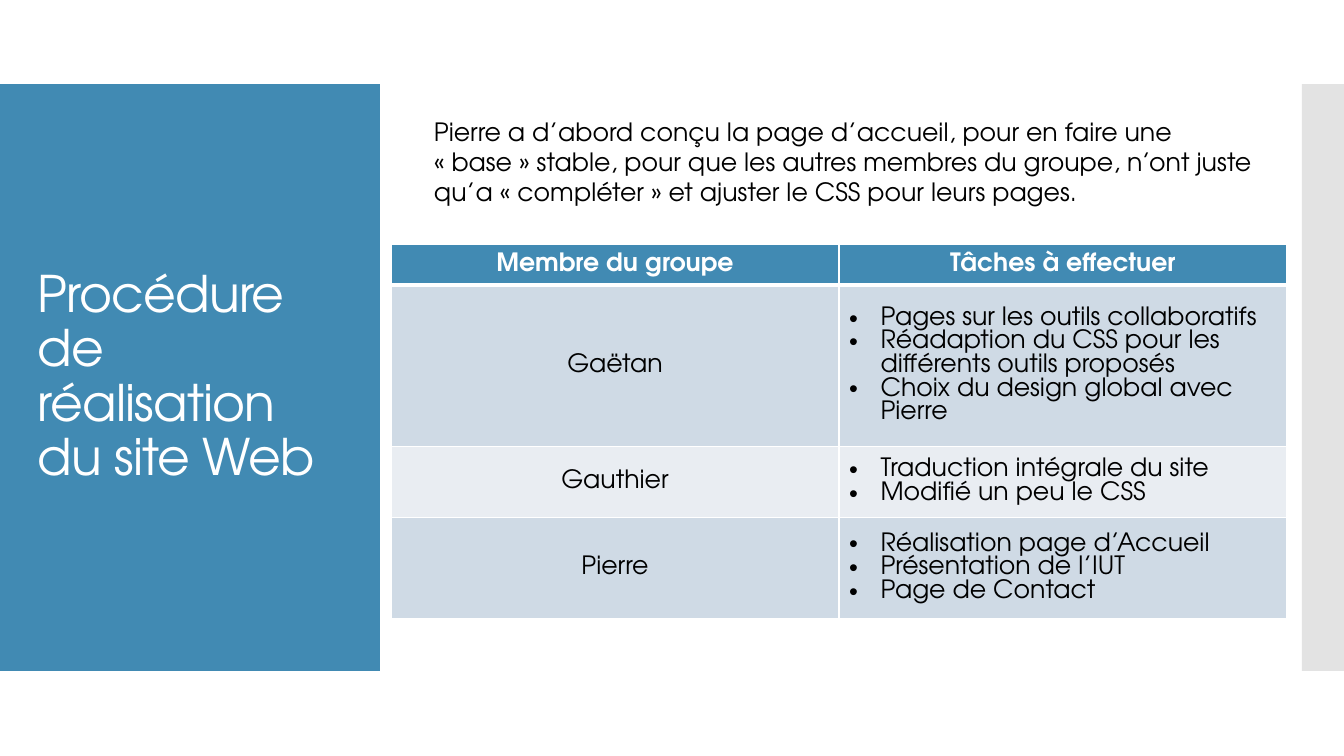
import pptx
import pptx.util
import pptx.dml.color
import pptx.enum.shapes
import pptx.enum.text
import pptx.oxml.ns
import lxml.etree

PX = 914400 / 100.8
FONT = "TeX Gyre Adventor"
COLORS = {"blue": "418AB3", "grey": "C8C8C8", "white": "FFFFFF", "black": "000000",
          "band_dark": "CFDAE5", "band_light": "E9EDF2"}
NO_BREAK_SPACE = chr(160)
qn = pptx.oxml.ns.qn


def px(*lengths):
    return [pptx.util.Emu(round(length * PX)) for length in lengths]


def style(paragraph, size, color, bold=False):
    for run in paragraph.runs:
        run.font.name = FONT
        run.font.size = pptx.util.Pt(size)
        run.font.bold = bold
        run.font.color.rgb = pptx.dml.color.RGBColor.from_string(COLORS[color])


prs = pptx.Presentation()
prs.slide_width, prs.slide_height = px(1344, 756)
slide = prs.slides.add_slide(prs.slide_layouts[6])

# Side panels
for left, width, color in [(0, 380, "blue"), (1302, 42, "grey")]:
    panel = slide.shapes.add_shape(pptx.enum.shapes.MSO_SHAPE.RECTANGLE, *px(left, 84, width, 587))
    panel.shadow.inherit = False
    panel.line.fill.background()
    panel.fill.solid()
    panel.fill.fore_color.rgb = pptx.dml.color.RGBColor.from_string(COLORS[color])
    if color == "grey":
        tint = panel.fill._xPr.find(qn("a:solidFill"))[0]
        lxml.etree.SubElement(tint, qn("a:alpha")).set("val", "50000")

# Title
title = slide.shapes.add_textbox(*px(28, 124, 325, 507)).text_frame
title.word_wrap = True
title.vertical_anchor = pptx.enum.text.MSO_ANCHOR.MIDDLE
title.text = "Procédure de réalisation du site Web"
title.paragraphs[0].line_spacing = 0.9
style(title.paragraphs[0], 36, "white")
title.paragraphs[0].runs[0].font._element.set("spc", "-60")

# Introduction, with quotation marks kept next to their words
intro = slide.shapes.add_textbox(*px(424, 111, 848, 132)).text_frame
intro.word_wrap = True
intro.text = ("Pierre a d’abord conçu la page d’accueil, pour en faire une « base » stable, "
              "pour que les autres membres du groupe, n’ont juste qu’a « compléter » "
              "et ajuster le CSS pour leurs pages."
              ).replace("« ", "«" + NO_BREAK_SPACE).replace(" »", NO_BREAK_SPACE + "»")
style(intro.paragraphs[0], 18, "black")

# Members and their tasks
tasks_by_member = [
    ("Membre du groupe", ["Tâches à effectuer"]),
    ("Gaëtan", ["Pages sur les outils collaboratifs",
                "Réadaption du CSS pour les différents outils proposés",
                "Choix du design global avec Pierre"]),
    ("Gauthier", ["Traduction intégrale du site", "Modifié un peu le CSS"]),
    ("Pierre", ["Réalisation page d’Accueil", "Présentation de l’IUT", "Page de Contact"]),
]
row_heights = px(41, 161, 71, 101)
row_fills = ["blue", "band_dark", "band_light", "band_dark"]
members = slide.shapes.add_table(4, 2, *px(391, 244, 896, 374)).table
for column in members.columns:
    column.width = px(448)[0]

for row, (member, tasks) in enumerate(tasks_by_member):
    members.rows[row].height = row_heights[row]
    for col, lines in enumerate([[member], tasks]):
        cell = members.cell(row, col)
        cell.vertical_anchor = pptx.enum.text.MSO_ANCHOR.MIDDLE
        cell.text_frame.text = "\n".join(lines)
        is_header = row == 0
        for paragraph in cell.text_frame.paragraphs:
            style(paragraph, 18, "white" if is_header else "black", is_header)
            if is_header or col == 0:
                paragraph.alignment = pptx.enum.text.PP_ALIGN.CENTER
                continue
            bullet = paragraph._p.get_or_add_pPr()
            bullet.set("marL", "285750")
            bullet.set("indent", "-285750")
            lxml.etree.SubElement(bullet, qn("a:buFont")).set("typeface", "Arial")
            lxml.etree.SubElement(bullet, qn("a:buChar")).set("char", "•")

        # White borders, thicker under the header
        cell_props = cell._tc.get_or_add_tcPr()
        for side in "LRTB":
            thick = (row, side) in [(0, "B"), (1, "T")]
            border = lxml.etree.SubElement(cell_props, qn(f"a:ln{side}"))
            border.set("w", str(pptx.util.Pt(3 if thick else 1)))
            border_fill = lxml.etree.SubElement(border, qn("a:solidFill"))
            lxml.etree.SubElement(border_fill, qn("a:srgbClr")).set("val", COLORS["white"])
        cell.fill.solid()
        cell.fill.fore_color.rgb = pptx.dml.color.RGBColor.from_string(COLORS[row_fills[row]])

prs.save("out.pptx")
